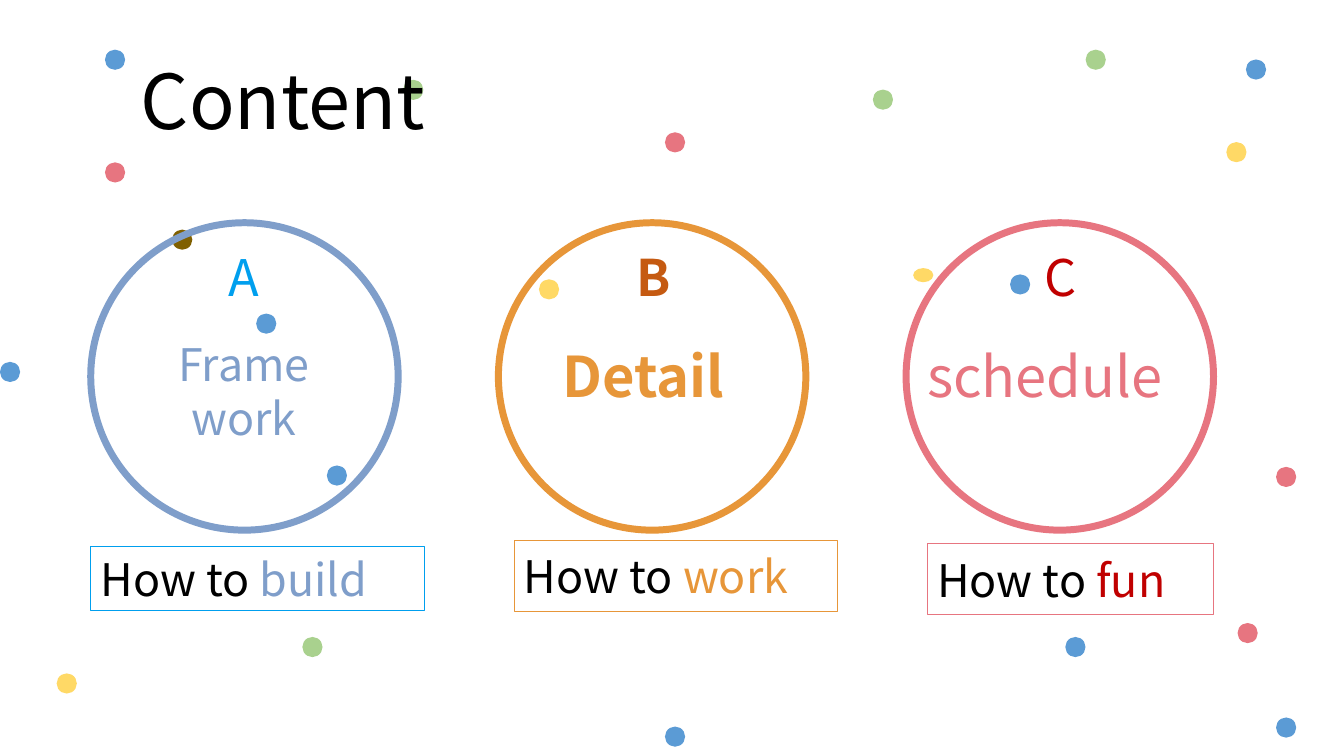
from pptx import Presentation
from pptx.dml.color import RGBColor
from pptx.enum.shapes import MSO_SHAPE as Preset
from pptx.enum.text import MSO_ANCHOR as Anchor, MSO_AUTO_SIZE as Fit, PP_ALIGN as Align
from pptx.util import Pt

FONT = "Noto Sans CJK JP"
COLORS = {
    "black": "000000", "blue": "5B9BD5", "rose": "E77580", "green": "A9D18E",
    "yellow": "FFD966", "brown": "806000", "steel": "7F9ECA", "sky": "009FEE",
    "orange": "E79639", "rust": "C55A11", "red": "C00000",
}
DOT = 14.4
DOTS = {
    "blue": [(75, 35.5), (911.5, 512.5), (0, 258.5), (890, 42.5), (233.5, 332.5),
             (721.5, 196), (183, 224), (761, 455), (475, 519)],
    "rose": [(75, 116), (475, 94.5), (884, 445), (911.5, 333.5)],
    "green": [(216, 455), (288, 57), (775.5, 35.5), (623.5, 64)],
    "yellow": [(40.5, 481), (876, 101.5), (385, 199.5)],
    "brown": [(123, 164)],
}
RING_LEFT, RING_TOP, RING_SIZE, RING_STEP = 64.8, 159.1, 219.6, 291.2
# Each topic: ring colour, then letter, name and caption settings
TOPICS = [
    {"ring": "steel", "bold": None,
     "letter": ("A", "sky", 156.2), "name": (["Frame", "work"], 32),
     "name_box": (39.6, 236.9, 269.3, 85), "align": Align.CENTER,
     "caption": ("build", "steel", "sky"), "caption_box": (64.8, 390.2, 238.3, 46.1)},
    {"ring": "orange", "bold": True,
     "letter": ("B", "rust", 447.8), "name": (["Detail"], 40),
     "name_box": (394.6, 240.5, 211, 55.4), "align": Align.LEFT,
     "caption": ("work", "orange", "orange"), "caption_box": (367.2, 385.9, 231.1, 51.1)},
    {"ring": "rose", "bold": None,
     "letter": ("C", "red", 738.7), "name": (["schedule"], 40),
     "name_box": (655.2, 240.5, 218.9, 55.4), "align": Align.LEFT,
     "caption": ("fun", "red", "rose"), "caption_box": (662.4, 388.1, 204.5, 51.1)},
]


def color(name):
    """Return the named colour."""
    return RGBColor.from_string(COLORS[name])


def add_outline(page, preset, box, line, width):
    """Add an unfilled shape with a coloured outline."""
    shape = page.shapes.add_shape(preset, *map(Pt, box))
    shape.shadow.inherit = False
    shape.fill.background()
    shape.line.color.rgb = color(line)
    shape.line.width = Pt(width)
    return shape


def add_dot(page, left, top, fill, height=DOT):
    """Add one confetti dot."""
    dot = page.shapes.add_shape(Preset.OVAL, Pt(left), Pt(top), Pt(DOT), Pt(height))
    dot.shadow.inherit = False
    dot.fill.solid()
    dot.fill.fore_color.rgb = color(fill)
    dot.line.fill.background()


def write(shape, lines, size, align=Align.LEFT, bold=None, anchor=Anchor.TOP):
    """Fill a shape with lines, each a list of (text, colour) spans."""
    frame = shape.text_frame
    frame.word_wrap = True
    frame.auto_size = Fit.NONE
    frame.vertical_anchor = anchor
    for index, spans in enumerate(lines):
        para = frame.add_paragraph() if index else frame.paragraphs[0]
        para.alignment = align
        for text, ink in spans:
            span = para.add_run()
            span.text = text
            span.font.name = FONT
            span.font.size = Pt(size)
            span.font.bold = bold
            span.font.color.rgb = color(ink)


def add_label(page, box, lines, ink, size, **style):
    """Add a text box whose lines share one colour."""
    label = page.shapes.add_textbox(*map(Pt, box))
    write(label, [[(line, ink)] for line in lines], size, **style)


def add_topic(page, index, topic):
    """Add a ring with its letter and name, and the caption below."""
    ring_box = (RING_LEFT + index * RING_STEP, RING_TOP, RING_SIZE, RING_SIZE)
    add_outline(page, Preset.OVAL, ring_box, topic["ring"], 5)
    word, ink, border = topic["caption"]
    caption = add_outline(page, Preset.RECTANGLE, topic["caption_box"], border, 0.75)
    write(caption, [[("How to ", "black"), (word, ink)]], 32, anchor=Anchor.MIDDLE)
    letter, ink, left = topic["letter"]
    add_label(page, (left, 172.1, 36.7, 51.1), [letter], ink, 36, bold=topic["bold"])
    lines, size = topic["name"]
    add_label(page, topic["name_box"], lines, topic["ring"], size,
              align=topic["align"], bold=topic["bold"])


def main():
    """Build the content slide."""
    deck = Presentation()
    deck.slide_width, deck.slide_height = Pt(960), Pt(540)
    page = deck.slides.add_slide(deck.slide_layouts[6])
    for fill, places in DOTS.items():
        for left, top in places:
            add_dot(page, left, top, fill)
    add_dot(page, 652.3, 191.5, "yellow", height=10.1)
    add_label(page, (93.6, 34.6, 347.8, 72.7), ["Content"], "black", 54)
    for index, topic in enumerate(TOPICS):
        add_topic(page, index, topic)
    deck.save("out.pptx")


main()
